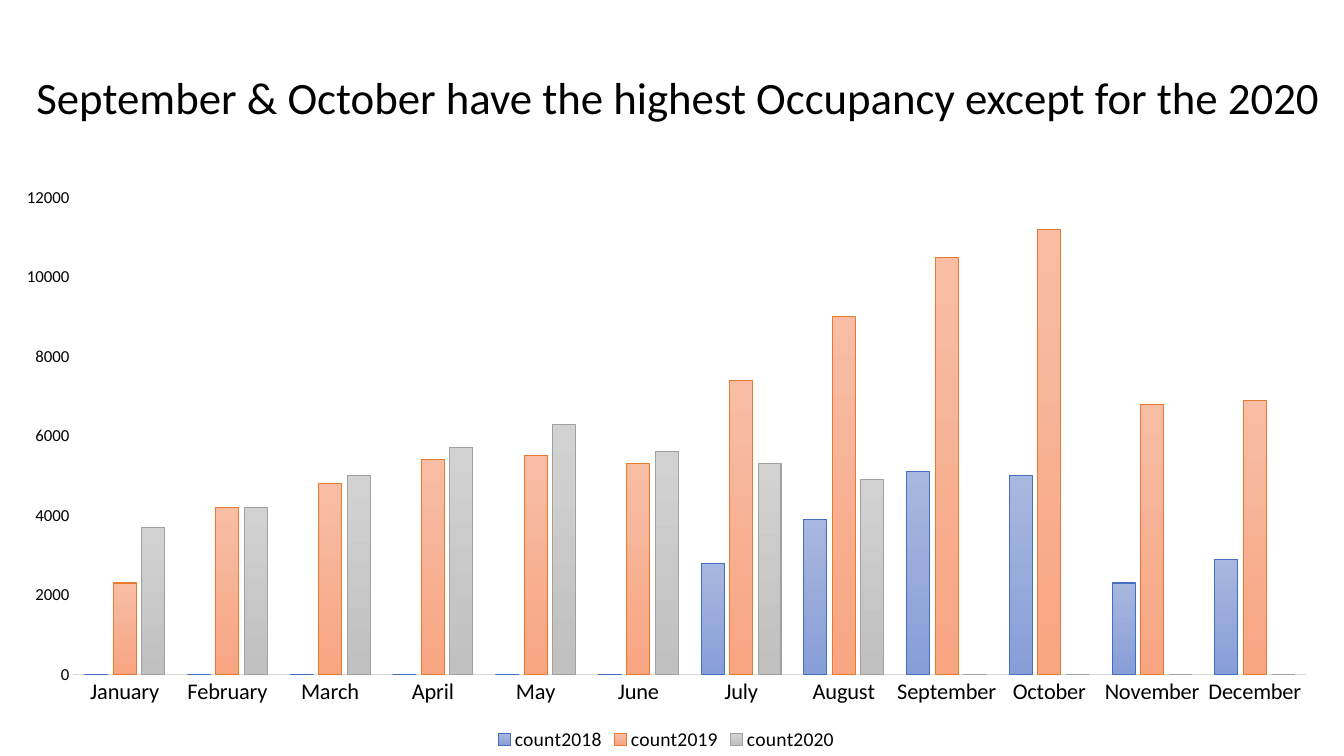
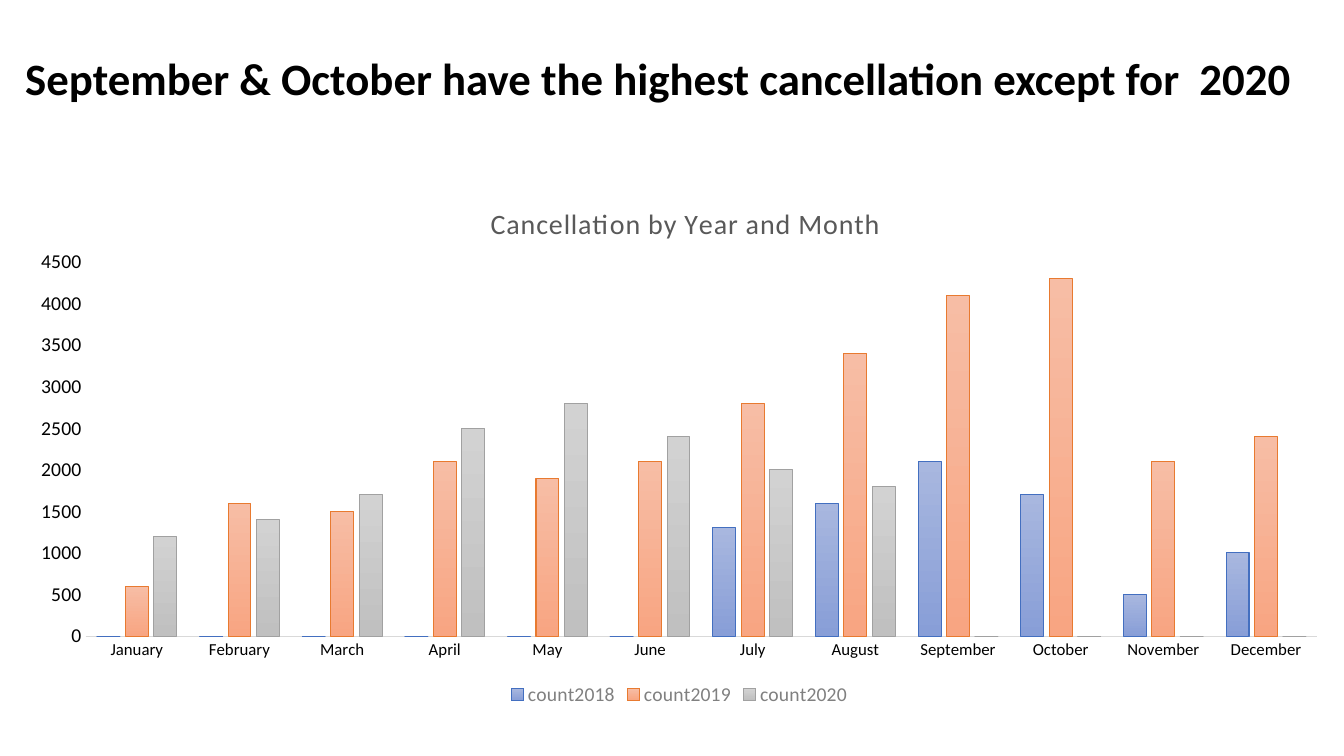
from dataclasses import dataclass

from lxml.etree import SubElement
from pptx import Presentation
from pptx.chart.data import CategoryChartData
from pptx.dml.color import RGBColor as Rgb
from pptx.enum.chart import XL_CHART_TYPE as ChartType
from pptx.enum.chart import XL_LEGEND_POSITION as LegendPosition
from pptx.enum.chart import XL_TICK_MARK as TickMark
from pptx.enum.text import MSO_ANCHOR as Anchor
from pptx.enum.text import MSO_AUTO_SIZE as AutoSize
from pptx.enum.text import PP_ALIGN as Align
from pptx.oxml.ns import qn
from pptx.util import Inches, Pt


@dataclass(frozen=True)
class Theme:
    """Fonts, type sizes and colours shared by the slides."""
    font: str = "Calibri"
    headline: int = 32
    chart_title: int = 20
    large: int = 16
    medium: int = 14
    small: int = 12
    base: int = 10
    ink: str = "000000"
    title_grey: str = "595959"
    legend_grey: str = "808080"
    axis_line: str = "D9D9D9"
    hairline: float = 0.75
    years: tuple = (
        ("A8B7DF", "889ED7", "436FC0"),
        ("F7BDA5", "F8A582", "E87A30"),
        ("D2D2D2", "C0C0C0", "A1A1A1"),
    )


THEME = Theme()
MONTHS = ("January", "February", "March", "April", "May", "June", "July",
          "August", "September", "October", "November", "December")
OCCUPANCY = {
    "count2018": (0, 0, 0, 0, 0, 0, 2800, 3900, 5100, 5000, 2300, 2900),
    "count2019": (2300, 4200, 4800, 5400, 5500, 5300,
                  7400, 9000, 10500, 11200, 6800, 6900),
    "count2020": (3700, 4200, 5000, 5700, 6300, 5600, 5300, 4900, 0, 0, 0, 0),
}
CANCELLATION = {
    "count2018": (0, 0, 0, 0, 0, 0, 1300, 1600, 2100, 1700, 500, 1000),
    "count2019": (600, 1600, 1500, 2100, 1900, 2100,
                  2800, 3400, 4100, 4300, 2100, 2400),
    "count2020": (1200, 1400, 1700, 2500, 2800, 2400, 2000, 1800, 0, 0, 0, 0),
}


def style_font(font, size, color=THEME.ink, bold=False):
    """Apply the theme typeface with a size, colour and weight."""
    font.name = THEME.font
    font.size = Pt(size)
    font.bold = bold
    font.color.rgb = Rgb.from_string(color)


def style_line(line, color):
    """Draw a hairline in one colour."""
    line.width = Pt(THEME.hairline)
    line.color.rgb = Rgb.from_string(color)


def add_headline(slide, text, box, align, bold=False):
    """Place and format the slide's title."""
    headline = slide.shapes.title
    headline.left, headline.top, headline.width, headline.height = map(Inches, box)
    frame = headline.text_frame
    frame.word_wrap = True
    frame.auto_size = AutoSize.SHAPE_TO_FIT_TEXT
    frame.vertical_anchor = Anchor.MIDDLE
    paragraph = frame.paragraphs[0]
    paragraph.alignment = align
    run = paragraph.add_run()
    run.text = text
    style_font(run.font, THEME.headline, bold=bold)


def set_layout(parent, **fractions):
    """Fix a chart part's position as fractions of the chart area."""
    layout = parent.find(qn("c:layout"))
    if layout is None:
        layout = parent.makeelement(qn("c:layout"))
        text = parent.find(qn("c:tx"))
        parent.insert(0 if text is None else 1, layout)
    manual = SubElement(layout, qn("c:manualLayout"))
    if "w" in fractions:
        SubElement(manual, qn("c:layoutTarget")).set("val", "inner")
    for axis in ("x", "y"):
        SubElement(manual, qn(f"c:{axis}Mode")).set("val", "edge")
    for key, value in fractions.items():
        SubElement(manual, qn(f"c:{key}")).set("val", str(value))


def style_axes(chart, month_size, count_size, top, step):
    """Format the month axis and the count axis."""
    months, counts = chart.category_axis, chart.value_axis
    for axis, size in ((months, month_size), (counts, count_size)):
        axis.major_tick_mark = axis.minor_tick_mark = TickMark.NONE
        axis.has_major_gridlines = False
        style_font(axis.tick_labels.font, size)
    style_line(months.format.line, THEME.axis_line)
    counts.format.line.fill.background()
    counts.minimum_scale, counts.maximum_scale = 0, top
    counts.major_unit = step


def style_years(plot):
    """Give each year its gradient and outline."""
    plot.gap_width, plot.overlap = 100, -24
    plot.vary_by_categories = False
    for year, (light, deep, outline) in zip(plot.series, THEME.years):
        fill = year.format.fill
        fill.gradient()
        fill.gradient_angle = 270
        for stop, color in zip(fill.gradient_stops, (light, deep)):
            stop.color.rgb = Rgb.from_string(color)
        style_line(year.format.line, outline)


def add_month_chart(slide, counts, box, plot_area, legend_color, **axes):
    """Add a clustered column chart of monthly counts by year."""
    data = CategoryChartData()
    data.categories = MONTHS
    for year, values in counts.items():
        data.add_series(year, values)
    chart = slide.shapes.add_chart(
        ChartType.COLUMN_CLUSTERED, *map(Inches, box), data).chart
    style_font(chart.font, THEME.base)
    chart.has_title = False
    chart.has_legend = True
    chart.legend.position = LegendPosition.BOTTOM
    chart.legend.include_in_layout = False
    style_font(chart.legend.font, THEME.medium, legend_color)
    style_axes(chart, **axes)
    style_years(chart.plots[0])
    set_layout(chart.plots[0]._element.getparent(), **plot_area)
    return chart


def add_chart_title(chart, text, **position):
    """Add a letter-spaced title to a chart."""
    chart.has_title = True
    run = chart.chart_title.text_frame.paragraphs[0].add_run()
    run.text = text
    style_font(run.font, THEME.chart_title, THEME.title_grey)
    run.font._element.set("spc", "50")
    chart.chart_title.include_in_layout = False
    set_layout(chart.chart_title._element, **position)


def main():
    """Build both slides and save the presentation."""
    deck = Presentation()
    deck.slide_width, deck.slide_height = Inches(13.33), Inches(7.5)
    title_only = deck.slide_layouts[5]

    occupancy = deck.slides.add_slide(title_only)
    add_month_chart(
        occupancy, OCCUPANCY, (0, 1.73, 13.22, 5.77),
        {"x": 0.055, "y": 0.04, "w": 0.925, "h": 0.82}, THEME.ink,
        month_size=THEME.large, count_size=THEME.small, top=12000, step=2000)
    add_headline(
        occupancy,
        "September & October have the highest Occupancy except for the 2020",
        (0.12, 0.64, 13.22, 0.64), Align.CENTER)

    cancellation = deck.slides.add_slide(title_only)
    chart = add_month_chart(
        cancellation, CANCELLATION, (0.15, 1.7, 13.18, 5.35),
        {"x": 0.053, "y": 0.168, "w": 0.927, "h": 0.694}, THEME.legend_grey,
        month_size=THEME.small, count_size=THEME.medium, top=4500, step=500)
    add_chart_title(chart, "Cancellation by Year and Month", x=0.354, y=0.05)
    add_headline(
        cancellation,
        "September & October have the highest cancellation except for  2020",
        (0.15, 0.45, 13.29, 0.64), Align.LEFT, bold=True)

    deck.save("out.pptx")


main()
